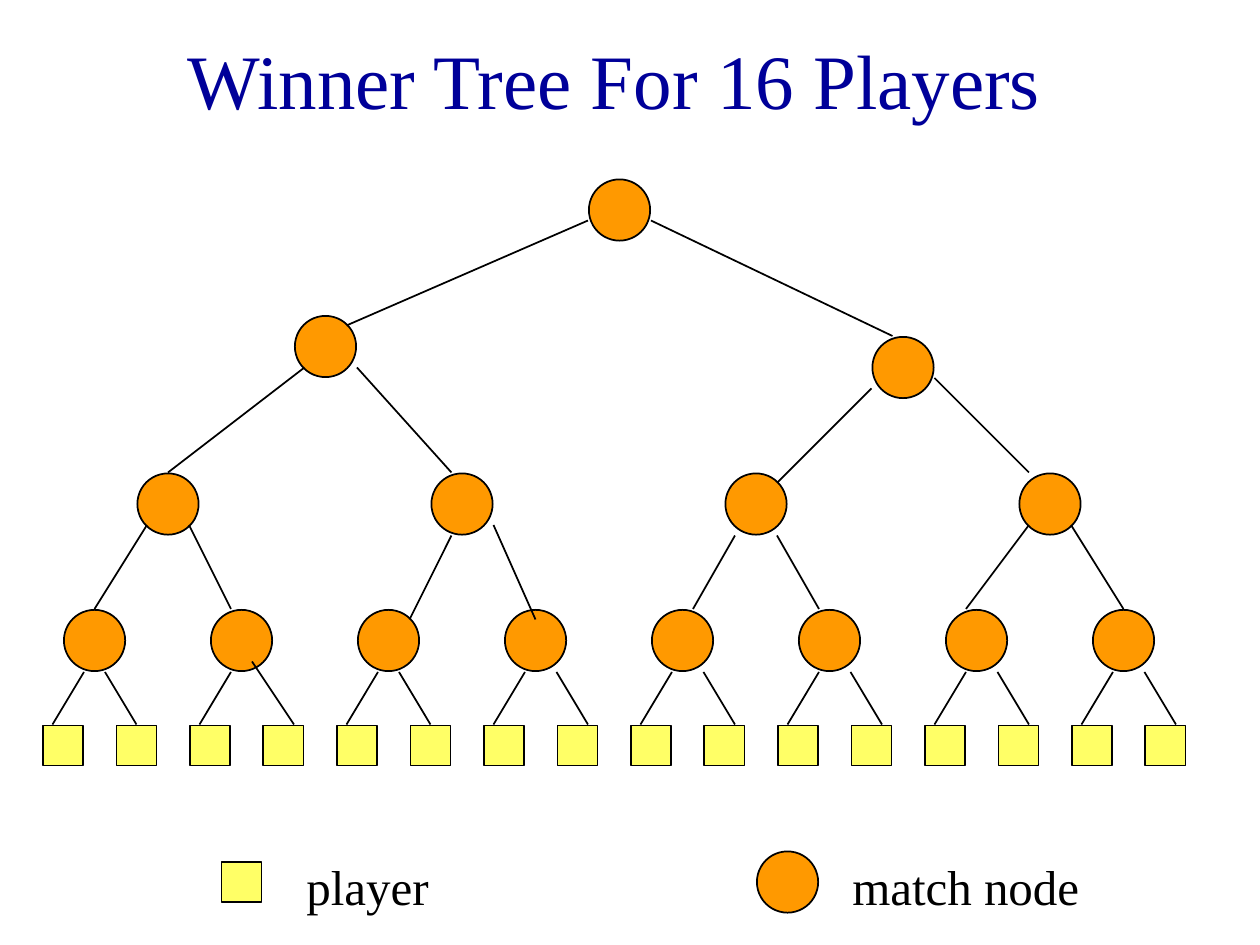
from dataclasses import dataclass

from lxml.etree import SubElement
from pptx import Presentation
from pptx.dml.color import RGBColor
from pptx.enum.shapes import MSO_CONNECTOR, MSO_SHAPE
from pptx.enum.text import MSO_ANCHOR, MSO_AUTO_SIZE, PP_ALIGN
from pptx.oxml.ns import qn
from pptx.util import Pt


@dataclass(frozen=True)
class Theme:
    font: str = "Times New Roman"
    title_size: int = 44
    legend_size: int = 28
    title: RGBColor = RGBColor(0x00, 0x00, 0x99)
    ink: RGBColor = RGBColor(0x00, 0x00, 0x00)
    player: RGBColor = RGBColor(0xFF, 0xFF, 0x66)
    match: RGBColor = RGBColor(0xFF, 0x99, 0x00)


THEME = Theme()
TITLE = "Winner Tree For 16 Players"

# Node centres, in points
PLAYERS = [(36 + 42 * i, 426) for i in range(16)]
MATCHES = (
    [(54 + 84 * i, 366) for i in range(8)]
    + [(96 + 168 * i, 288) for i in range(4)]
    + [(186, 198), (516, 210), (354, 120)]
)
LEGEND_Y = 504
PLAYER_KEY = (138, LEGEND_Y)
MATCH_KEY = (450, LEGEND_Y)
# Legend text: words, left, width
LEGEND = [("player", 168, 162), ("match node", 480, 186)]

# Branches between matches: start x, start y, end x, end y
MATCH_BRANCHES = [
    (336, 126, 198, 186), (372, 126, 510, 192),
    (174, 210, 96, 270), (204, 210, 258, 270),
    (498, 222, 444, 276), (534, 216, 588, 270),
    (84, 300, 54, 348), (108, 300, 132, 348),
    (258, 306, 234, 354), (282, 300, 306, 354),
    (420, 306, 396, 348), (444, 306, 468, 348),
    (588, 300, 552, 348), (612, 300, 642, 348),
]
# Branches to players: the left ones are evenly spaced, the right ones vary
LEFT_BRANCHES = [(48 + 84 * i, 384, 30 + 84 * i, 414) for i in range(8)]
RIGHT_STARTS = [(60, 384), (144, 378), (228, 384), (318, 384),
                (402, 384), (486, 384), (570, 384), (654, 384)]
RIGHT_BRANCHES = [(x, y, x + 18 + (384 - y), 414) for x, y in RIGHT_STARTS]


def add_text(para, words, size, color):
    span = para.add_run()
    span.text = words
    span.font.name = THEME.font
    span.font.size = Pt(size)
    span.font.color.rgb = color


def add_node(page, kind, center, size, color):
    x, y = center
    node = page.shapes.add_shape(
        kind, Pt(x - size / 2), Pt(y - size / 2), Pt(size), Pt(size))
    node.shadow.inherit = False
    node.fill.solid()
    node.fill.fore_color.rgb = color
    node.line.color.rgb = THEME.ink
    node.line.width = Pt(1)


def add_branch(page, ends):
    branch = page.shapes.add_connector(
        MSO_CONNECTOR.STRAIGHT, *(Pt(value) for value in ends))
    branch.line.color.rgb = THEME.ink
    branch.line.width = Pt(1)
    SubElement(branch.element.spPr, qn("a:effectLst"))


def main():
    deck = Presentation()
    deck.slide_width, deck.slide_height = Pt(720), Pt(540)
    page = deck.slides.add_slide(deck.slide_layouts[0])
    subtitle = page.placeholders[1].element
    subtitle.getparent().remove(subtitle)

    # Title
    title = page.shapes.title
    title.left, title.top, title.width, title.height = Pt(0), Pt(0), Pt(702), Pt(90)
    title.text_frame.vertical_anchor = MSO_ANCHOR.MIDDLE
    para = title.text_frame.paragraphs[0]
    para.alignment = PP_ALIGN.CENTER
    add_text(para, TITLE, THEME.title_size, THEME.title)

    # Tree nodes and legend keys
    for center in PLAYERS + [PLAYER_KEY]:
        add_node(page, MSO_SHAPE.RECTANGLE, center, 23, THEME.player)
    for center in MATCHES + [MATCH_KEY]:
        add_node(page, MSO_SHAPE.OVAL, center, 35, THEME.match)

    # Branches
    for ends in MATCH_BRANCHES + LEFT_BRANCHES + RIGHT_BRANCHES:
        add_branch(page, ends)

    # Legend text
    for words, left, width in LEGEND:
        box = page.shapes.add_textbox(Pt(left), Pt(486), Pt(width), Pt(41))
        box.text_frame.word_wrap = True
        box.text_frame.auto_size = MSO_AUTO_SIZE.SHAPE_TO_FIT_TEXT
        add_text(box.text_frame.paragraphs[0], words, THEME.legend_size, THEME.ink)

    deck.save("out.pptx")


if __name__ == "__main__":
    main()
